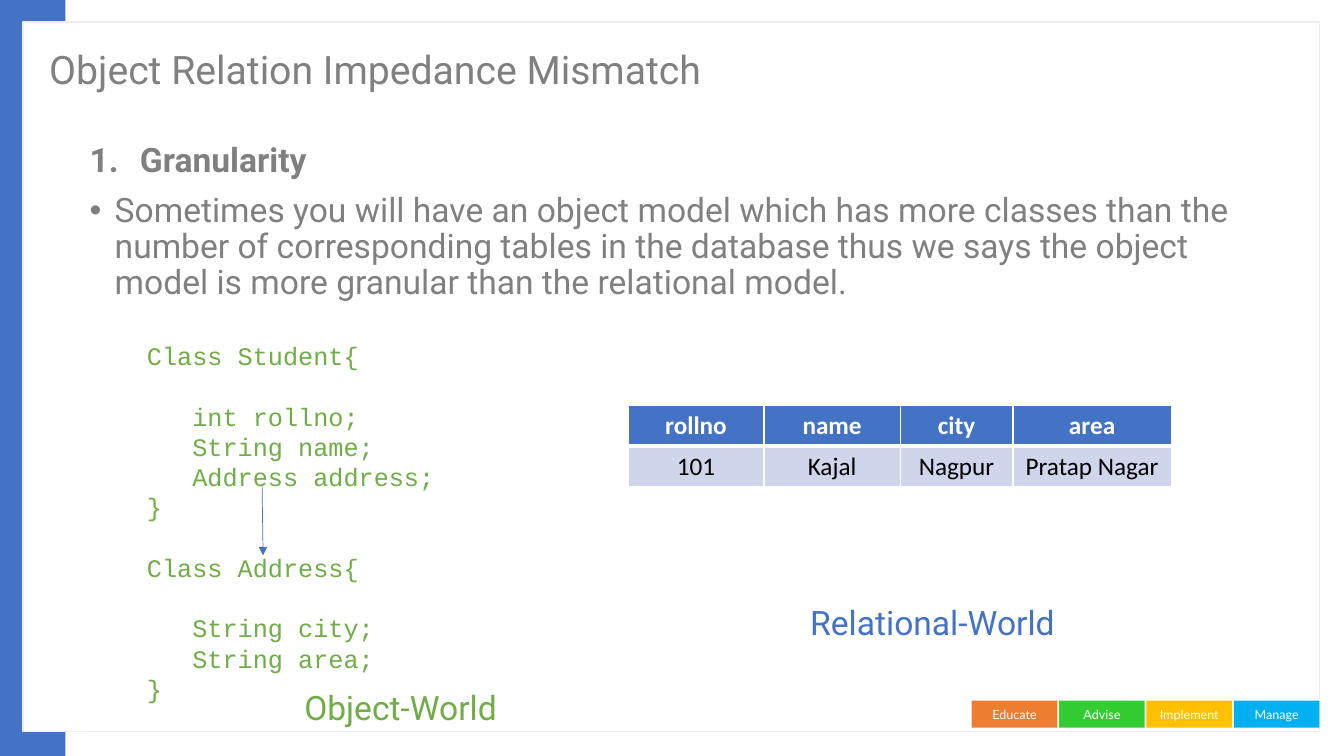
from dataclasses import dataclass

from lxml.etree import SubElement
from pptx import Presentation
from pptx.dml.color import RGBColor
from pptx.enum.shapes import MSO_CONNECTOR, MSO_SHAPE
from pptx.enum.text import MSO_ANCHOR, PP_ALIGN
from pptx.oxml import parse_xml
from pptx.oxml.ns import nsdecls, qn
from pptx.shapes.autoshape import Shape
from pptx.slide import Slide
from pptx.table import _Cell as Cell
from pptx.util import Pt


@dataclass(frozen=True)
class Theme:
    blue: str = "4472C4"
    white: str = "FFFFFF"
    black: str = "000000"
    gray: str = "808080"
    green: str = "70AD47"
    frame: str = "EDEDED"
    row: str = "CFD5EA"
    title_size: float = 28
    body_size: float = 24
    code_size: float = 18
    tag_size: float = 9
    sans: str = "Roboto"
    mono: str = "Courier New"
    tag_font: str = "Lato"
    table_font: str = "Calibri"


@dataclass(frozen=True)
class Box:
    left: float
    top: float
    width: float
    height: float

    def lengths(self) -> tuple[Pt, Pt, Pt, Pt]:
        return Pt(self.left), Pt(self.top), Pt(self.width), Pt(self.height)


@dataclass(frozen=True)
class Style:
    font: str
    size: float
    color: str
    bold: bool = False
    align: PP_ALIGN = PP_ALIGN.LEFT
    line_spacing: float = 1.0
    outlined: bool = False


@dataclass(frozen=True)
class Line:
    text: str
    space_before: float = 0
    margin: float = 0
    hanging: float = 0
    bullet: str = ""
    bold: bool = False


@dataclass(frozen=True)
class Tag:
    text: str
    color: str


THEME = Theme()
TITLE = Style(THEME.sans, THEME.title_size, THEME.gray, line_spacing=0.9)
BODY = Style(THEME.sans, THEME.body_size, THEME.gray, line_spacing=0.9)
CODE = Style(THEME.mono, THEME.code_size, THEME.green, outlined=True)
OBJECT_LABEL = Style(THEME.sans, THEME.body_size, THEME.green, outlined=True)
RELATION_LABEL = Style(THEME.sans, THEME.body_size, THEME.blue)
TAG = Style(THEME.tag_font, THEME.tag_size, THEME.white, align=PP_ALIGN.CENTER)
HEADER = Style(THEME.table_font, THEME.code_size, THEME.white, True, PP_ALIGN.CENTER)
VALUE = Style(THEME.table_font, THEME.code_size, THEME.black, align=PP_ALIGN.CENTER)

TAGS = [
    Tag("Educate", "ED7D31"),
    Tag("Advise", "33CC33"),
    Tag("Implement", "FFC000"),
    Tag("Manage", "00B0F0"),
]
BODY_LINES = [
    Line("Granularity", 10, 36, 36, '<a:buFont %s typeface="+mj-lt"/>|<a:buAutoNum %s type="arabicPeriod"/>', True),
    Line(
        "Sometimes you will have an object model which has more classes than the "
        "number of corresponding tables in the database thus we says the object "
        "model is more granular than the relational model.",
        10, 18, 18, '<a:buFont %s typeface="Arial"/>|<a:buChar %s char="•"/>',
    ),
]
CODE_GAP = 21.6
CODE_INDENT = 32.4
CODE_LINES = [
    Line("Class Student{"),
    Line("int rollno;", CODE_GAP, CODE_INDENT),
    Line("String name;", 0, CODE_INDENT),
    Line("Address address;", 0, CODE_INDENT),
    Line("}"),
    Line("Class Address{", CODE_GAP),
    Line("String city;", CODE_GAP, CODE_INDENT),
    Line("String area;", 0, CODE_INDENT),
    Line("}"),
]
COLUMN_WIDTHS = [97.2, 97.2, 80.64, 113.04]
TABLE_ROWS = [
    ["rollno", "name", "city", "area"],
    ["101", "Kajal", "Nagpur", "Pratap Nagar"],
]


def write(holder: Shape | Cell, lines: list[Line], style: Style) -> None:
    frame = holder.text_frame
    for index, line in enumerate(lines):
        paragraph = frame.add_paragraph() if index else frame.paragraphs[0]
        paragraph.text = line.text
        paragraph.alignment = style.align
        paragraph.line_spacing = style.line_spacing
        paragraph.space_before = Pt(line.space_before)
        font = paragraph.font
        font.name, font.size = style.font, Pt(style.size)
        font.bold = style.bold or line.bold
        font.color.rgb = RGBColor.from_string(style.color)
        properties = paragraph._p.get_or_add_pPr()
        properties.set("marL", str(Pt(line.margin)))
        properties.set("indent", str(-Pt(line.hanging)))
        defaults = properties.find(qn("a:defRPr"))
        for part in filter(None, line.bullet.split("|")):
            defaults.addprevious(parse_xml(part % nsdecls("a")))
        if style.outlined:
            defaults.insert(0, parse_xml(
                f'<a:ln {nsdecls("a")} w="{Pt(0.75)}"><a:solidFill>'
                f'<a:srgbClr val="{style.color}"/></a:solidFill></a:ln>'
            ))


def add_text(slide: Slide, box: Box, lines: list[Line], style: Style,
             anchor: MSO_ANCHOR = MSO_ANCHOR.TOP) -> None:
    shape = slide.shapes.add_textbox(*box.lengths())
    shape.text_frame.word_wrap = True
    shape.text_frame.vertical_anchor = anchor
    write(shape, lines, style)


def add_rectangle(slide: Slide, box: Box, color: str, border: str = "") -> Shape:
    shape = slide.shapes.add_shape(MSO_SHAPE.RECTANGLE, *box.lengths())
    shape.shadow.inherit = False
    shape.fill.solid()
    shape.fill.fore_color.rgb = RGBColor.from_string(color)
    if border:
        shape.line.color.rgb = RGBColor.from_string(border)
        shape.line.width = Pt(1)
    else:
        shape.line.fill.background()
    return shape


def add_records(slide: Slide, box: Box) -> None:
    table = slide.shapes.add_table(len(TABLE_ROWS), len(COLUMN_WIDTHS), *box.lengths()).table
    for column, width in zip(table.columns, COLUMN_WIDTHS):
        column.width = Pt(width)
    for row, texts in enumerate(TABLE_ROWS):
        for column, text in enumerate(texts):
            cell = table.cell(row, column)
            for side in ("L", "R", "T", "B"):
                width = 3 if (row, side) in ((0, "B"), (1, "T")) else 1
                cell._tc.get_or_add_tcPr().append(parse_xml(
                    f'<a:ln{side} {nsdecls("a")} w="{Pt(width)}"><a:solidFill>'
                    f'<a:srgbClr val="{THEME.white}"/></a:solidFill></a:ln{side}>'
                ))
            cell.fill.solid()
            cell.fill.fore_color.rgb = RGBColor.from_string(THEME.row if row else THEME.blue)
            write(cell, [Line(text)], VALUE if row else HEADER)


def add_arrow(slide: Slide) -> None:
    arrow = slide.shapes.add_connector(
        MSO_CONNECTOR.STRAIGHT, Pt(187.2), Pt(345.6), Pt(187.92), Pt(396.72)
    )
    arrow.line.color.rgb = RGBColor.from_string(THEME.blue)
    arrow.line.width = Pt(0.5)
    SubElement(arrow.line._get_or_add_ln(), qn("a:tailEnd"), type="triangle")
    SubElement(arrow._element.spPr, qn("a:effectLst"))


def main() -> None:
    presentation = Presentation()
    presentation.slide_width, presentation.slide_height = Pt(960), Pt(540)
    slide = presentation.slides.add_slide(presentation.slide_layouts[6])
    add_rectangle(slide, Box(0, 0, 46.8, 540), THEME.blue)
    add_rectangle(slide, Box(16.56, 15.84, 925.92, 506.88), THEME.white, THEME.frame)
    for index, tag in enumerate(TAGS):
        shape = add_rectangle(slide, Box(694.08 + 62.4 * index, 500.4, 61.2, 19.44), tag.color)
        write(shape, [Line(tag.text)], TAG)
    add_text(slide, Box(28.08, 20.16, 743.04, 62.64),
             [Line("Object Relation Impedance Mismatch")], TITLE, MSO_ANCHOR.MIDDLE)
    add_text(slide, Box(56.88, 98.64, 869.04, 398.16), BODY_LINES, BODY)
    add_records(slide, Box(448.56, 289.44, 388.08, 58.4))
    add_arrow(slide)
    add_text(slide, Box(97.92, 239.76, 223.2, 269.28), CODE_LINES, CODE)
    add_text(slide, Box(210.24, 487.44, 180.72, 36), [Line("Object-World")], OBJECT_LABEL)
    add_text(slide, Box(571.68, 426.24, 208.8, 36), [Line("Relational-World")], RELATION_LABEL)
    presentation.save("out.pptx")


if __name__ == "__main__":
    main()
